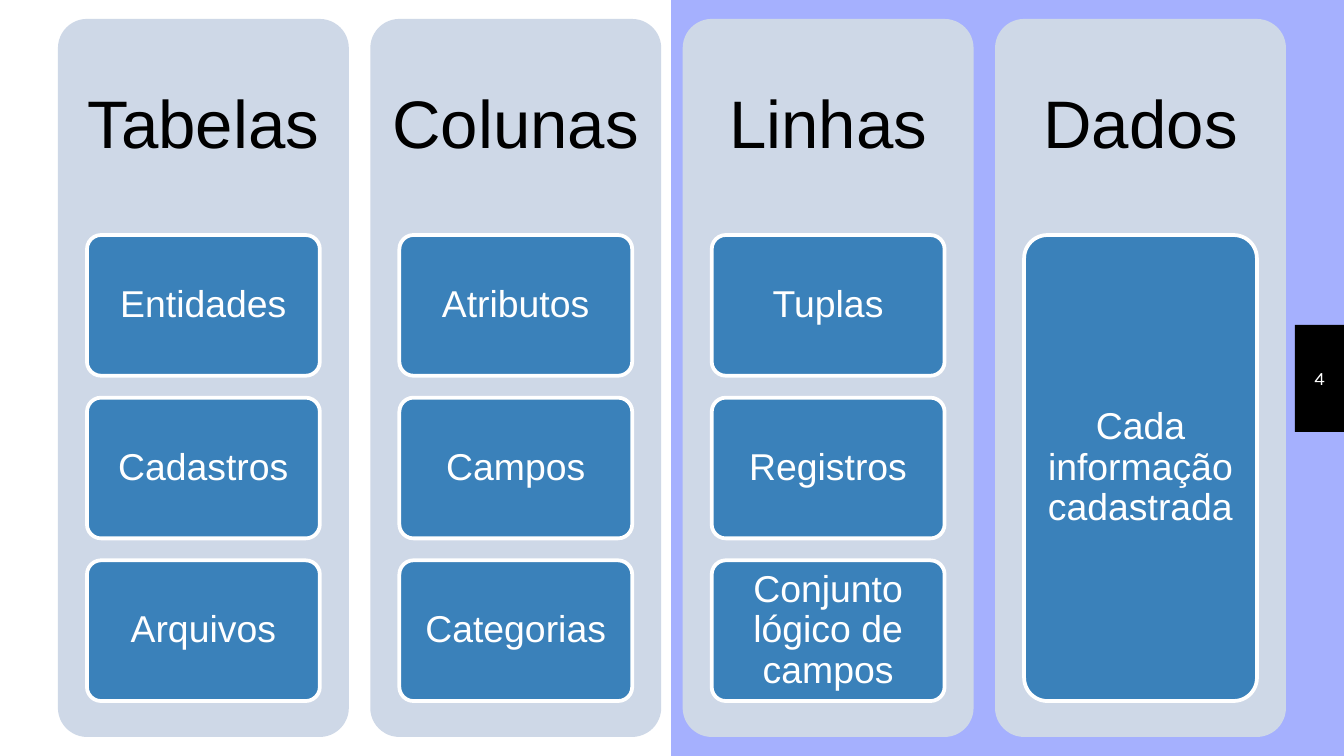
from pptx import Presentation
from pptx.dml.color import RGBColor
from pptx.enum.shapes import MSO_SHAPE
from pptx.enum.text import MSO_ANCHOR, PP_ALIGN
from pptx.util import Pt

RECTANGLE = MSO_SHAPE.RECTANGLE
ROUNDED = MSO_SHAPE.ROUNDED_RECTANGLE
MIDDLE = MSO_ANCHOR.MIDDLE
CENTER = PP_ALIGN.CENTER

PX = 6804  # EMU in one px
WIDTH, HEIGHT = 1344, 756
BLANK_LAYOUT = 6

COLORS = {
    "background": "A5B0FE",
    "white": "FFFFFF",
    "black": "000000",
    "panel": "CED8E7",
    "card": "3A81BA",
}

COLUMNS = [
    ("Tabelas", ["Entidades", "Cadastros", "Arquivos"]),
    ("Colunas", ["Atributos", "Campos", "Categorias"]),
    ("Linhas", ["Tuplas", "Registros", "Conjunto lógico de campos"]),
    ("Dados", ["Cada informação cadastrada"]),
]


def color(name):
    return RGBColor.from_string(COLORS[name])


def emu(box):
    return [round(length * PX) for length in box]


def add_block(page, kind, box, fill, line=None):
    """Add a filled shape, outlined only when a line colour is given."""
    block = page.shapes.add_shape(kind, *emu(box))
    block.shadow.inherit = False
    block.fill.solid()
    block.fill.fore_color.rgb = color(fill)
    if kind == ROUNDED:
        block.adjustments[0] = 0.1
    if line:
        block.line.color.rgb = color(line)
        block.line.width = Pt(2)
    else:
        block.line.fill.background()
    return block


def write(shape, text, size, ink, margins, font="Arial", spacing=0.9):
    """Centre one paragraph in the shape; margins are (sides, top and bottom)."""
    frame = shape.text_frame
    frame.text = text
    frame.word_wrap = True
    frame.vertical_anchor = MIDDLE
    frame.margin_left = frame.margin_right = margins[0] * PX
    frame.margin_top = frame.margin_bottom = margins[1] * PX
    para = frame.paragraphs[0]
    para.alignment = CENTER
    para.line_spacing = spacing
    span = para.runs[0]
    span.font.size = Pt(size)
    span.font.name = font
    span.font.color.rgb = color(ink)


def add_backdrop(page, box):
    page.background.fill.solid()
    page.background.fill.fore_color.rgb = color("background")
    add_block(page, RECTANGLE, box, "white")


def add_page_number(page, box, number):
    tab = add_block(page, RECTANGLE, box, "black")
    write(tab, number, 10, "white", (13, 13), font="Karla", spacing=1.0)


def add_cards(page, box, labels, gap=22):
    """Stack equal cards that together fill the box."""
    left, top, width, height = box
    card_height = (height - gap * (len(labels) - 1)) / len(labels)
    for row, label in enumerate(labels):
        card_top = top + row * (card_height + gap)
        card = add_block(page, ROUNDED, (left, card_top, width, card_height),
                         "card", line="white")
        write(card, label, 20, "white", (8, 5))


def add_column(page, box, heading, labels):
    """Draw a panel with its heading above a stack of cards."""
    left, top, width, height = box
    heading_height, inset, bottom = 216, 29, 36
    add_block(page, ROUNDED, box, "panel")
    title = page.shapes.add_textbox(*emu((left, top, width, heading_height)))
    write(title, heading, 36, "black", (20, 20))
    cards_box = (left + inset, top + heading_height,
                 width - 2 * inset, height - heading_height - bottom)
    add_cards(page, cards_box, labels)


def add_columns(page, box, columns, gap=21.5):
    left, top, width, height = box
    column_width = (width - gap * (len(columns) - 1)) / len(columns)
    for index, (heading, labels) in enumerate(columns):
        column_left = left + index * (column_width + gap)
        add_column(page, (column_left, top, column_width, height), heading, labels)


def main():
    deck = Presentation()
    deck.slide_width, deck.slide_height = WIDTH * PX, HEIGHT * PX
    page = deck.slides.add_slide(deck.slide_layouts[BLANK_LAYOUT])
    add_backdrop(page, (0, 0, 671, HEIGHT))
    add_page_number(page, (1295, 325, 49, 107), "4")
    add_columns(page, (58, 19, 1228, 718), COLUMNS)
    deck.save("out.pptx")


if __name__ == "__main__":
    main()
